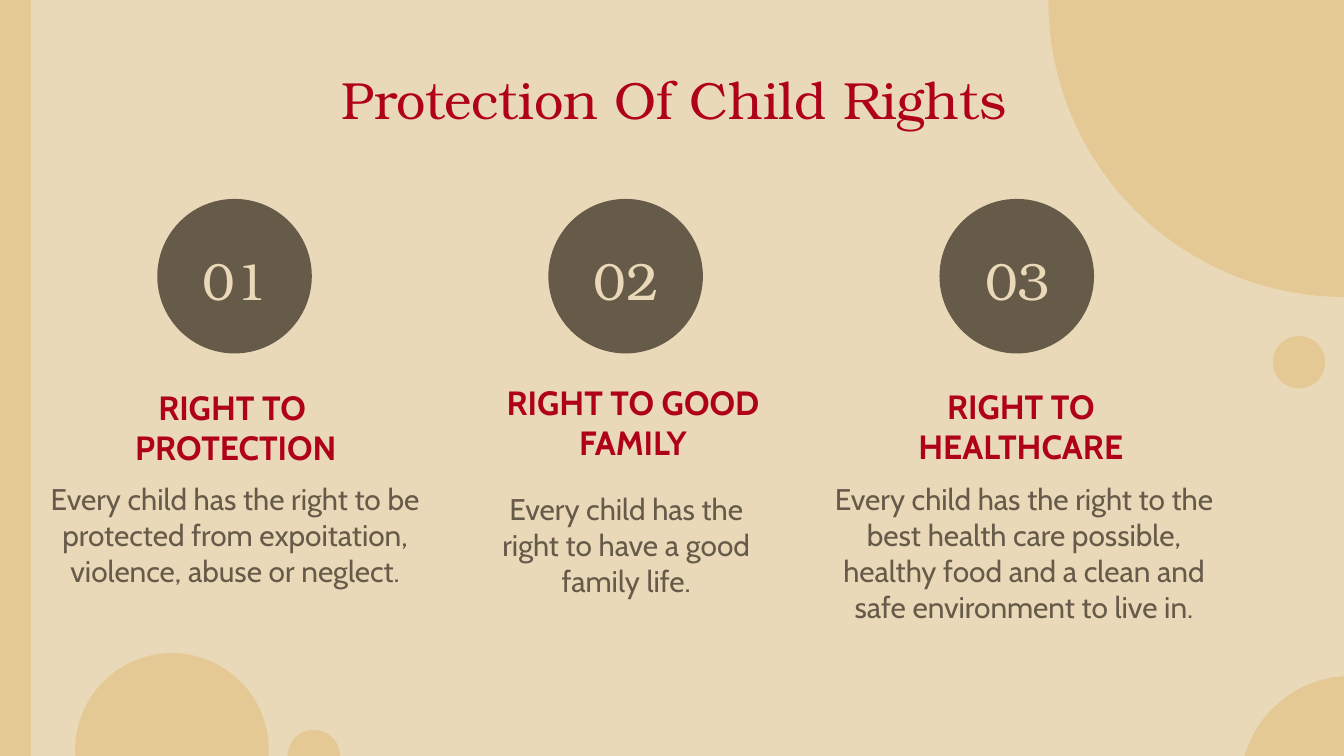
from dataclasses import dataclass

from lxml.etree import SubElement
from pptx import Presentation
from pptx.dml.color import RGBColor
from pptx.enum.shapes import MSO_SHAPE as Shape
from pptx.enum.text import MSO_ANCHOR as Anchor, MSO_AUTO_SIZE as AutoSize, PP_ALIGN as Align
from pptx.oxml.ns import qn
from pptx.util import Inches, Pt

WIDTH = 10
HEIGHT = WIDTH * 9 / 16  # widescreen


@dataclass(frozen=True)
class Theme:
    paper: str = "EAD9B9"
    sand: str = "E4C994"
    brown: str = "665A49"
    red: str = "AF0118"
    serif: str = "TeX Gyre Bonum"
    sans: str = "Cabin"
    title_size: int = 28
    heading_size: int = 18
    body_size: int = 16


def write(sp, text, *, font, size, color, bold=False, anchor=Anchor.TOP):
    """Fill a shape with centred paragraphs, one per line of text."""
    tf = sp.text_frame
    tf.word_wrap = True
    tf.auto_size = AutoSize.NONE
    tf.vertical_anchor = anchor
    tf.margin_left = tf.margin_right = tf.margin_top = tf.margin_bottom = Inches(0.1)
    for i, line in enumerate(text.split("\n")):
        p = tf.paragraphs[0] if i == 0 else tf.add_paragraph()
        p.alignment = Align.CENTER
        p.space_before = p.space_after = Pt(0)
        p.line_spacing = 1.0
        pPr = p._p.get_or_add_pPr()
        pPr.set("marL", "0")
        pPr.set("indent", "0")
        SubElement(pPr, qn("a:buNone"))
        r = p.add_run()
        r.text = line
        r.font.name = font
        r.font.size = Pt(size)
        r.font.bold = bold
        r.font.color.rgb = RGBColor.from_string(color)


class SlideBuilder:
    def __init__(self, slide, theme):
        self.s = slide
        self.theme = theme
        fill = slide.background.fill
        fill.solid()
        fill.fore_color.rgb = RGBColor.from_string(theme.paper)

    def shape(self, kind, box, color):
        sp = self.s.shapes.add_shape(kind, *map(Inches, box))
        sp.shadow.inherit = False
        sp.fill.solid()
        sp.fill.fore_color.rgb = RGBColor.from_string(color)
        sp.line.fill.background()

    def circle(self, left, top, size, color):
        self.shape(Shape.OVAL, (left, top, size, size), color)

    def placeholder(self, idx, box, text, **style):
        sp = self.s.placeholders[idx]
        sp.left, sp.top, sp.width, sp.height = map(Inches, box)
        self.s.shapes._spTree.append(sp._element)  # bring in front of the decoration
        write(sp, text, **style)

    def text(self, box, text, **style):
        write(self.s.shapes.add_textbox(*map(Inches, box)), text, **style)

    def remove_empty_placeholders(self):
        for sp in list(self.s.placeholders):
            if not sp.text_frame.text:
                sp._element.getparent().remove(sp._element)


# Decorative circles: left, top, diameter
DECOR = [(0.56, 4.86, 1.44), (7.8, -2.2, 4.41), (9.23, 5.03, 1.64),
         (2.14, 5.43, 0.39), (9.47, 2.5, 0.39)]

# Rights: circle left, heading box, heading, body box, body
RIGHTS = [
    (1.17, (0.67, 2.8, 2.17, 0.75), "RIGHT TO \nPROTECTION", (0.25, 3.48, 3, 1.15),
     "Every child has the right to be protected from expoitation, violence, abuse or neglect."),
    (4.08, (3.58, 2.89, 2.26, 0.5), "RIGHT TO GOOD FAMILY", (3.5, 3.55, 2.32, 1.15),
     "Every child has the right to have a good family life."),
    (6.99, (6.5, 2.96, 2.19, 0.42), "RIGHT TO HEALTHCARE", (6.08, 3.48, 3.08, 1.15),
     "Every child has the right to the best health care possible, healthy food "
     "and a clean and safe environment to live in."),
]


def main():
    prs = Presentation()
    prs.slide_width, prs.slide_height = Inches(WIDTH), Inches(HEIGHT)
    comparison = prs.slide_layouts[4]  # a title and four body placeholders
    t = Theme()
    b = SlideBuilder(prs.slides.add_slide(comparison), t)

    # Background decoration
    for left, top, size in DECOR:
        b.circle(left, top, size, t.sand)
    b.shape(Shape.RECTANGLE, (0, 0, 0.23, HEIGHT), t.sand)

    # Title
    b.placeholder(0, (0.58, 0.4, 8.87, 0.63), "Protection Of Child Rights",
                  font=t.serif, size=t.title_size, color=t.red)

    # Three numbered rights
    for n, (left, head_box, heading, body_box, body) in enumerate(RIGHTS, 1):
        b.circle(left, 1.48, 1.15, t.brown)
        b.text((left + 0.05, 1.69, 1.06, 0.72), f"{n:02}", font=t.serif,
               size=t.title_size, color=t.paper, anchor=Anchor.BOTTOM)
        b.text(head_box, heading, font=t.sans, size=t.heading_size,
               color=t.red, bold=True, anchor=Anchor.MIDDLE)
        b.placeholder(n, body_box, body, font=t.sans, size=t.body_size, color=t.brown)

    b.remove_empty_placeholders()
    prs.save("out.pptx")


if __name__ == "__main__":
    main()
